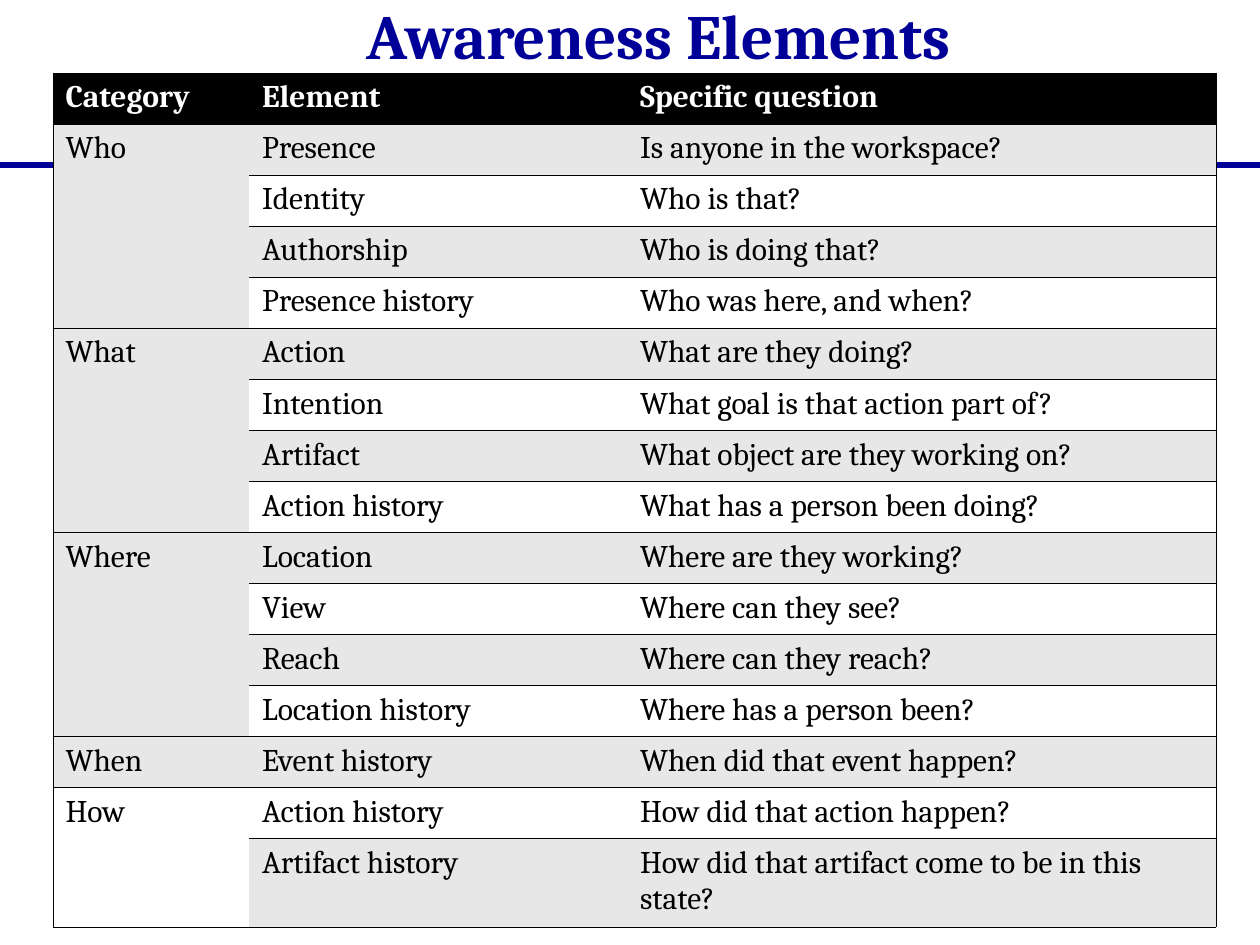
from lxml.etree import Element, SubElement
from pptx import Presentation
from pptx.dml.color import RGBColor
from pptx.enum.shapes import MSO_CONNECTOR
from pptx.enum.text import MSO_ANCHOR, PP_ALIGN
from pptx.oxml.ns import qn
from pptx.util import Inches, Pt

TITLE = " Awareness Elements"
HEADER = ("Category", "Element", "Specific question")
CATEGORIES = [
    ("Who", [
        ("Presence", "Is anyone in the workspace?"),
        ("Identity", "Who is that?"),
        ("Authorship", "Who is doing that?"),
        ("Presence history", "Who was here, and when?"),
    ]),
    ("What", [
        ("Action", "What are they doing?"),
        ("Intention", "What goal is that action part of?"),
        ("Artifact", "What object are they working on?"),
        ("Action history", "What has a person been doing?"),
    ]),
    ("Where", [
        ("Location", "Where are they working?"),
        ("View", "Where can they see?"),
        ("Reach", "Where can they reach?"),
        ("Location history", "Where has a person been?"),
    ]),
    ("When", [("Event history", "When did that event happen?")]),
    ("How", [
        ("Action history", "How did that action happen?"),
        ("Artifact history", "How did that artifact come to be in this state?"),
    ]),
]
COLORS = {"navy": "000099", "black": "000000", "white": "FFFFFF", "band": "E7E7E7"}
FONT = "Cambria"
COLUMN_WIDTHS = (1.56, 3, 4.67)
TABLE_LEFT, TABLE_TOP, TABLE_HEIGHT, LAST_ROW_HEIGHT = 0.42, 0.58, 6.78, 0.7
BORDER_WIDTH = 0.45
PLAIN_TABLE_STYLE = "{2D5ABB26-0587-4C30-8999-92F81FD0307C}"


def color(name):
    return RGBColor.from_string(COLORS[name])


def write(frame, text, size=18, ink="black", bold=False):
    para = frame.paragraphs[0]
    para.alignment = PP_ALIGN.LEFT
    span = para.add_run()
    span.text = text
    span.font.name = FONT
    span.font.size = Pt(size)
    span.font.bold = bold
    span.font.color.rgb = color(ink)


def paint(cell, fill, sides):
    cell.fill.solid()
    cell.fill.fore_color.rgb = color(fill)
    properties = cell._tc.get_or_add_tcPr()
    for position, side in enumerate(side for side in "LRTB" if side in sides):
        border = Element(qn(f"a:ln{side}"), w=str(Pt(BORDER_WIDTH)))
        SubElement(SubElement(border, qn("a:solidFill")), qn("a:srgbClr"), val=COLORS["black"])
        properties.insert(position, border)


def add_title(page):
    title = page.shapes.title
    title.left, title.top = Inches(2.7), Inches(-0.08)
    title.width, title.height = Inches(9.21), Inches(0.7)
    title.text_frame.vertical_anchor = MSO_ANCHOR.BOTTOM
    write(title.text_frame, TITLE, size=36, ink="navy", bold=True)


def add_rule(page):
    rule = page.shapes.add_connector(
        MSO_CONNECTOR.STRAIGHT, 0, Inches(1.31), Inches(10), Inches(1.31))
    rule.line.color.rgb = color("navy")
    rule.line.width = Pt(3)
    SubElement(rule._element.spPr, qn("a:effectLst"))


def add_awareness_table(page):
    row_count = 1 + sum(len(elements) for _, elements in CATEGORIES)
    table = page.shapes.add_table(
        row_count, len(HEADER), Inches(TABLE_LEFT), Inches(TABLE_TOP),
        Inches(sum(COLUMN_WIDTHS)), Inches(TABLE_HEIGHT)).table
    table._tbl.tblPr.find(qn("a:tableStyleId")).text = PLAIN_TABLE_STYLE
    table.horz_banding = False
    for column, width in zip(table.columns, COLUMN_WIDTHS):
        column.width = Inches(width)
    for row in table.rows:
        row.height = Inches((TABLE_HEIGHT - LAST_ROW_HEIGHT) / (row_count - 1))
    table.rows[row_count - 1].height = Inches(LAST_ROW_HEIGHT)

    for column, (heading, sides) in enumerate(zip(HEADER, ("LTB", "TB", "RTB"))):
        cell = table.cell(0, column)
        paint(cell, "black", sides)
        write(cell.text_frame, heading, ink="white", bold=True)

    start = 1
    for category, elements in CATEGORIES:
        end = start + len(elements) - 1
        category_fill = "band" if start % 2 else "white"
        for index, (element, question) in enumerate(elements, start):
            fill = "band" if index % 2 else "white"
            paint(table.cell(index, 0), category_fill,
                  "L" + "TB" * (index == start) + "B" * (index == end))
            for column, text, sides in ((1, element, "TB"), (2, question, "RTB")):
                cell = table.cell(index, column)
                paint(cell, fill, sides)
                write(cell.text_frame, text)
        category_cell = table.cell(start, 0)
        write(category_cell.text_frame, category)
        if end > start:
            category_cell.merge(table.cell(end, 0))
        start = end + 1


def main():
    deck = Presentation()
    deck.slide_width, deck.slide_height = Inches(10), Inches(7.5)
    page = deck.slides.add_slide(deck.slide_layouts[5])
    add_rule(page)
    add_title(page)
    add_awareness_table(page)
    deck.save("out.pptx")


if __name__ == "__main__":
    main()
